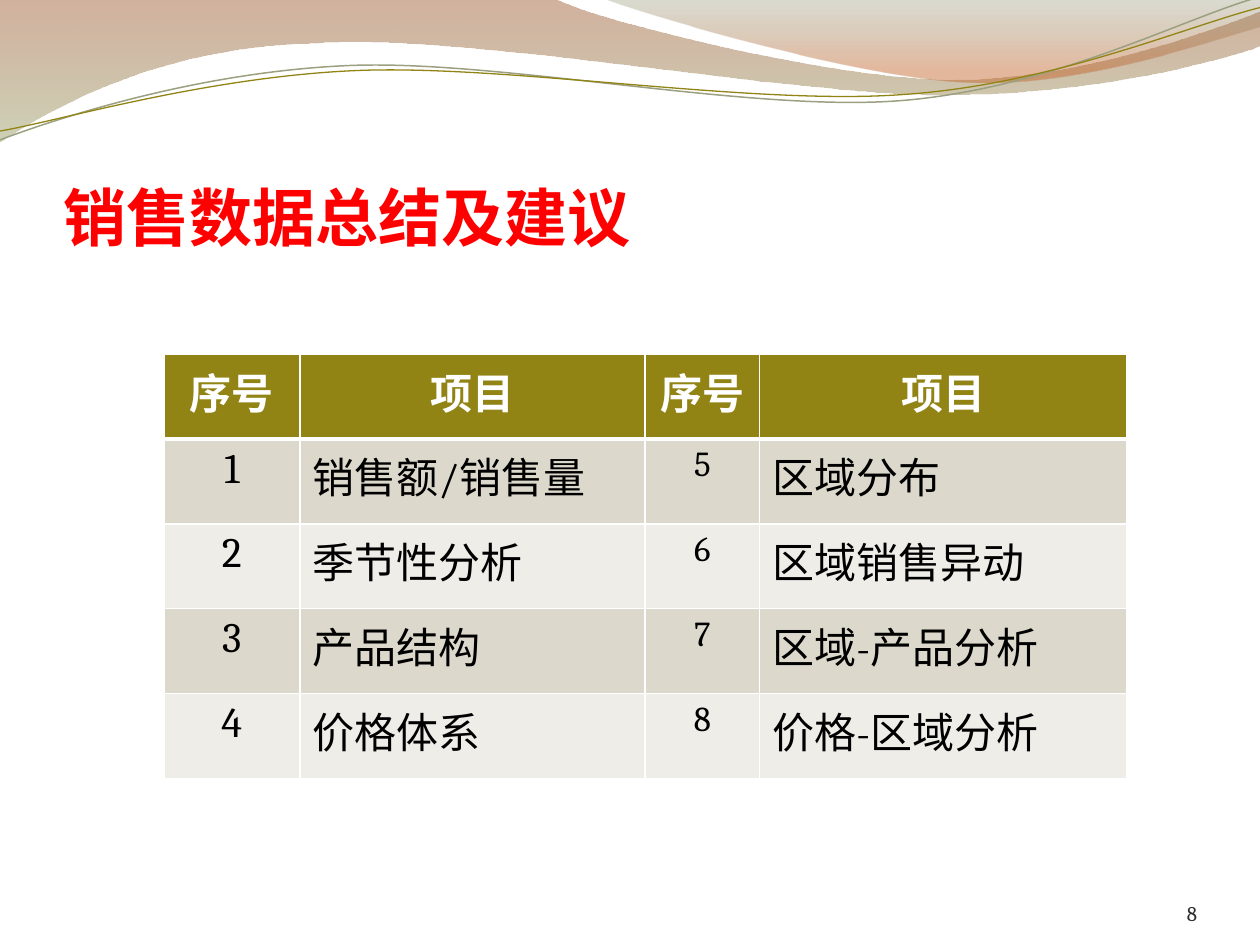
from math import cos, radians, sin

from lxml import etree
from pptx import Presentation
from pptx.dml.color import RGBColor
from pptx.enum.text import MSO_ANCHOR, MSO_AUTO_SIZE, PP_ALIGN
from pptx.oxml.ns import qn
from pptx.util import Inches, Pt

LEFT, CENTER, RIGHT = PP_ALIGN.LEFT, PP_ALIGN.CENTER, PP_ALIGN.RIGHT
BOTTOM = MSO_ANCHOR.BOTTOM
NO_AUTOFIT = MSO_AUTO_SIZE.NONE

RED = RGBColor(0xFF, 0x00, 0x00)
BLACK = RGBColor(0x00, 0x00, 0x00)
WHITE = RGBColor(0xFF, 0xFF, 0xFF)
DARK_GRAY = RGBColor(0x2D, 0x2D, 0x2D)
OLIVE = RGBColor(0x91, 0x84, 0x15)
SAGE = RGBColor(0x9A, 0xA0, 0x80)
BROWN = RGBColor(0x9A, 0x54, 0x2A)
LIGHT_GREEN = RGBColor(0xA5, 0xAD, 0x7B)
GRAY_GREEN = RGBColor(0x84, 0x8A, 0x67)
ORANGE = RGBColor(0xC3, 0x62, 0x28)
BANDS = (RGBColor(0xDC, 0xD9, 0xCC), RGBColor(0xEE, 0xED, 0xE8))

# Content
TITLE = "销售数据总结及建议"
HEADER = ("序号", "项目", "序号", "项目")
ROWS = [
    ("1", "销售额/销售量", "5", "区域分布"),
    ("2", "季节性分析", "6", "区域销售异动"),
    ("3", "产品结构", "7", "区域-产品分析"),
    ("4", "价格体系", "8", "价格-区域分析"),
]
PAGE_NUMBER = "8"
COLUMN_WIDTHS = (1.08, 2.74, 0.91, 2.91)
COLUMN_ALIGNMENTS = (CENTER, LEFT, CENTER, LEFT)
COLUMN_SIZES = (24, 24, 20, 24)
TABLE_HEIGHT = 3.37

# Waves: a start point, then steps of one point (line) or three points (curve)
# Gradient stops: position, colour, opacity in percent
WAVE_BANDS = [
    ((0, 0),
     [[(4.4, -0.01)],
      [(4.76, 0.17), (6.64, 0.63), (7.58, 0.63)],
      [(8.53, 0.63), (9.58, 0.26), (10, 0.09)],
      [(10.01, 0.36)],
      [(9.83, 0.44), (8.7, 0.76), (7.46, 0.75)],
      [(6.22, 0.75), (3.82, 0.28), (2.57, 0.34)],
      [(1.29, 0.36), (0.46, 0.83), (-0.01, 1.13)],
      [(0, 0)]],
     [(0, BROWN, 45), (1, LIGHT_GREEN, 55)]),
    ((4.79, -0.01),
     [[(5.09, 0.11), (6.82, 0.62), (7.69, 0.65)],
      [(8.56, 0.69), (9.61, 0.32), (10, 0.21)],
      [(10, 0)],
      [(4.79, -0.01)]],
     [(0, GRAY_GREEN, 30), (0.8, ORANGE, 45)]),
]
WAVE_LINES = [
    ((0, 1.11),
     [[(0.48, 0.93), (1.58, 0.57), (2.77, 0.52)],
      [(3.95, 0.47), (5.93, 0.89), (7.13, 0.8)],
      [(8.33, 0.71), (9.38, 0.15), (9.98, -0.02)]],
     SAGE, 0.85),
    ((0, 1.04),
     [[(0.47, 0.96), (1.64, 0.61), (2.83, 0.56)],
      [(4.03, 0.51), (5.97, 0.84), (7.17, 0.75)],
      [(8.36, 0.67), (9.41, 0.21), (10, 0.06)]],
     OLIVE, 0.75),
]
LINE_TILT = -2.7
LINE_CENTER = (4.99, 0.58)


def turn(point, degrees):
    """Turn a point clockwise about the middle of the wave lines."""
    angle = radians(degrees)
    across, down = point[0] - LINE_CENTER[0], point[1] - LINE_CENTER[1]
    return (LINE_CENTER[0] + across * cos(angle) - down * sin(angle),
            LINE_CENTER[1] + across * sin(angle) + down * cos(angle))


def add_wave(slide, start, steps, close, tilt=0):
    """Add a freeform whose three-point steps are Bezier curves."""
    points = [turn(point, -tilt) for point in [start, *sum(steps, [])]]
    points = [(Inches(x), Inches(y)) for x, y in points]
    builder = slide.shapes.build_freeform(*points[0])
    builder.add_line_segments(points[1:], close=close)
    shape = builder.convert_to_shape()
    segments = iter(list(shape._element.iter(qn("a:lnTo"))))
    for step in steps:
        segment = next(segments)
        if len(step) == 3:
            segment.tag = qn("a:cubicBezTo")
            for _ in range(2):
                control = next(segments)
                segment.append(control[0])
                control.getparent().remove(control)
    shape.rotation = tilt
    shape.shadow.inherit = False
    return shape


def format_text(text_frame, text, size, font_name, color, bold, alignment):
    text_frame.text = text
    paragraph = text_frame.paragraphs[0]
    paragraph.alignment = alignment
    font = paragraph.runs[0].font
    font.size, font.name, font.bold = Pt(size), font_name, bold
    font.color.rgb = color


def set_borders(cell, widths):
    properties = cell._tc.get_or_add_tcPr()
    for side, width in zip("LRTB", widths):
        line = etree.SubElement(properties, qn(f"a:ln{side}"), w=str(Pt(width)))
        fill = etree.SubElement(line, qn("a:solidFill"))
        etree.SubElement(fill, qn("a:srgbClr"), val=str(WHITE))


def set_margins(text_frame, top=0):
    text_frame.margin_left = text_frame.margin_right = text_frame.margin_bottom = 0
    text_frame.margin_top = Inches(top)


presentation = Presentation()
presentation.slide_width, presentation.slide_height = Inches(10), Inches(7.5)
slide = presentation.slides.add_slide(presentation.slide_layouts[5])

# Wave decoration
for start, steps, stops in WAVE_BANDS:
    band = add_wave(slide, start, steps, close=True)
    band.line.fill.background()
    band.fill.gradient()
    band.fill.gradient_angle = 270
    for stop, (position, color, _) in zip(band.fill.gradient_stops, stops):
        stop.position = position
        stop.color.rgb = color
    colors = band._element.spPr.find(qn("a:gradFill")).iter(qn("a:srgbClr"))
    for element, (_, _, opacity) in zip(colors, stops):
        etree.SubElement(element, qn("a:alpha"), val=str(opacity * 1000))

for start, steps, color, width in WAVE_LINES:
    wave_line = add_wave(slide, start, steps, close=False, tilt=LINE_TILT)
    wave_line.fill.background()
    wave_line.line.color.rgb = color
    wave_line.line.width = Pt(width)

# Title, in front of the waves
title = slide.shapes.title
slide.shapes._spTree.append(title._element)
title.left, title.top = Inches(0.5), Inches(0.77)
title.width, title.height = Inches(9), Inches(1.25)
title_frame = title.text_frame
set_margins(title_frame, top=0.05)
title_frame.auto_size = NO_AUTOFIT
title_frame.vertical_anchor = BOTTOM
format_text(title_frame, TITLE, 36, "Arial", RED, True, LEFT)

# Table
row_count = len(ROWS) + 1
table = slide.shapes.add_table(
    row_count, len(HEADER), Inches(1.3), Inches(2.81),
    Inches(sum(COLUMN_WIDTHS)), Inches(TABLE_HEIGHT)).table
for column, width in zip(table.columns, COLUMN_WIDTHS):
    column.width = Inches(width)
for row_index, texts in enumerate([HEADER, *ROWS]):
    is_header = row_index == 0
    for column_index, text in enumerate(texts):
        cell = table.cell(row_index, column_index)
        set_borders(cell, (1, 1, 3 if row_index == 1 else 1, 3 if is_header else 1))
        cell.fill.solid()
        cell.fill.fore_color.rgb = OLIVE if is_header else BANDS[(row_index - 1) % 2]
        format_text(cell.text_frame, text,
                    24 if is_header else COLUMN_SIZES[column_index], "Cambria",
                    WHITE if is_header else BLACK, is_header,
                    CENTER if is_header else COLUMN_ALIGNMENTS[column_index])

# Page number
number_box = slide.shapes.add_textbox(Inches(8.67), Inches(6.95), Inches(0.83), Inches(0.4))
number_frame = number_box.text_frame
number_frame.word_wrap = True
set_margins(number_frame)
number_frame.vertical_anchor = BOTTOM
format_text(number_frame, PAGE_NUMBER, 12, "Cambria", DARK_GRAY, False, RIGHT)

presentation.save("out.pptx")
